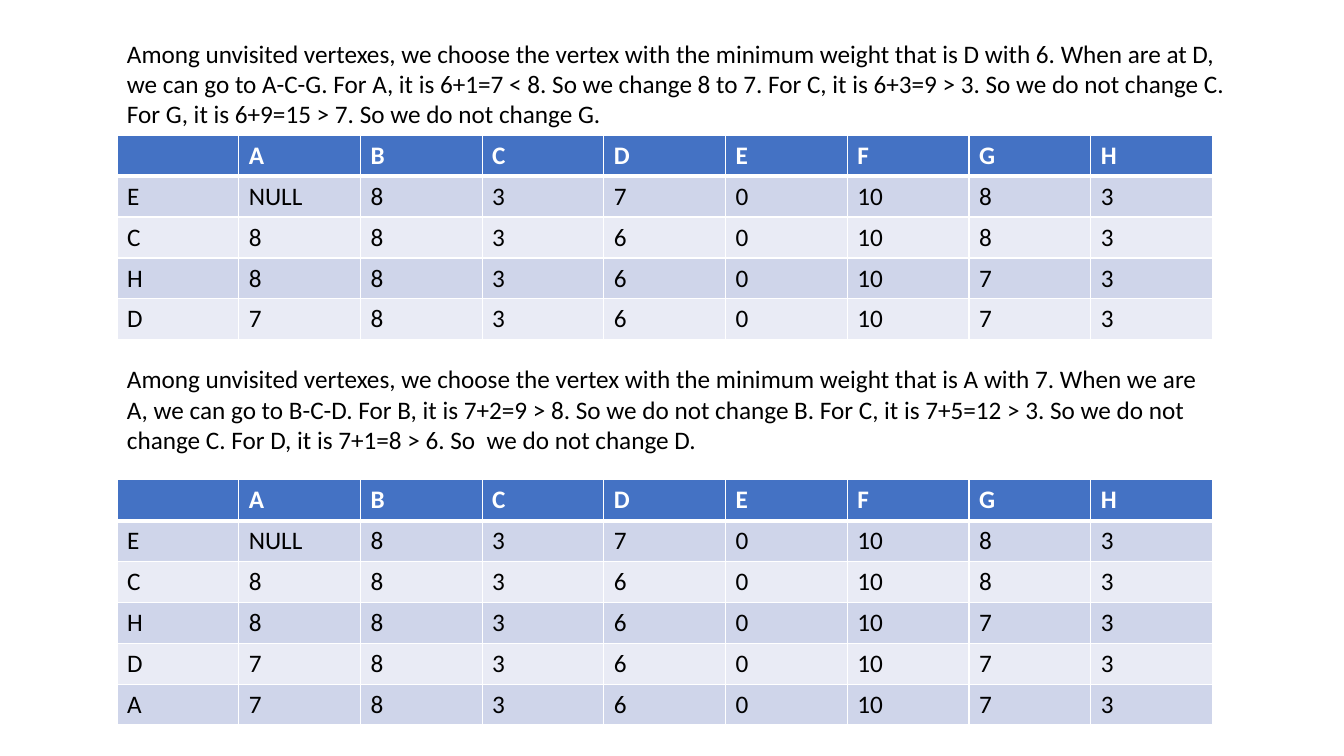
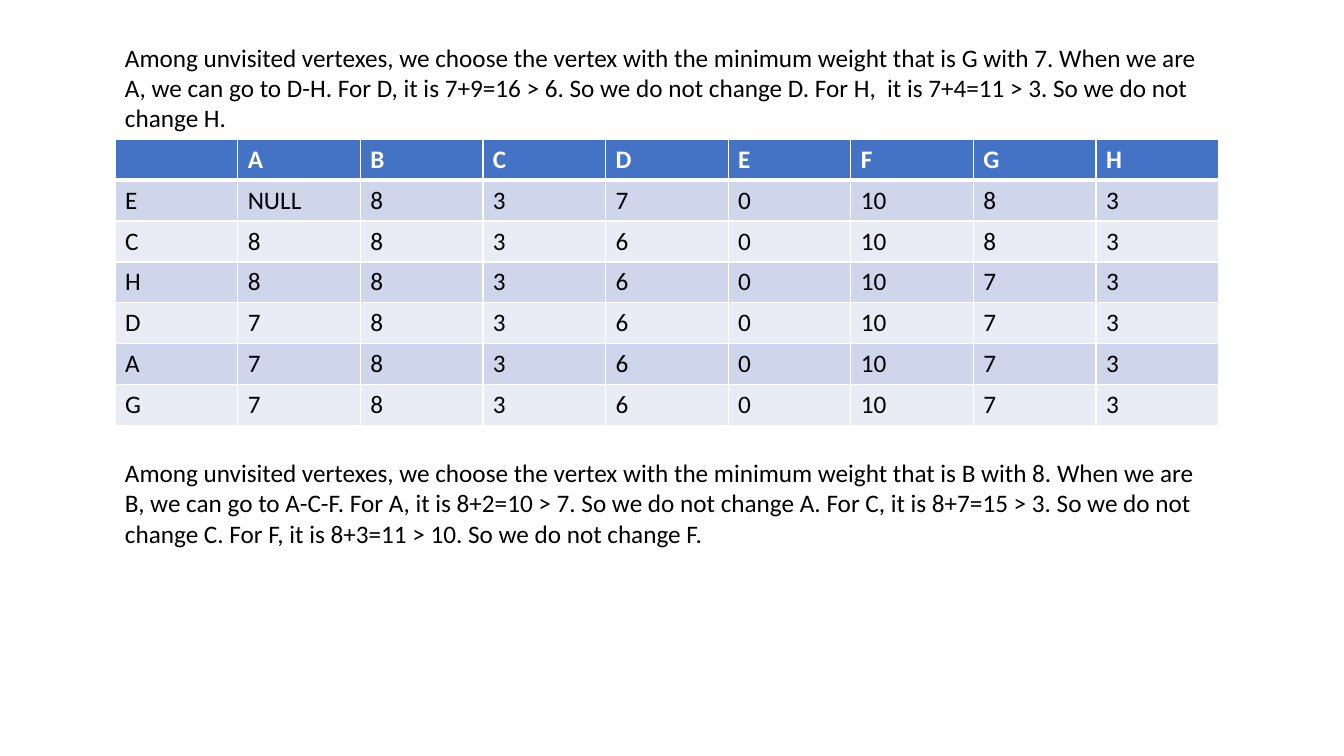
from dataclasses import dataclass

from lxml import etree
from pptx import Presentation
from pptx.dml.color import RGBColor
from pptx.enum import text as txt
from pptx.oxml import ns
from pptx.util import Cm, Pt

WHITE = RGBColor(0xFF, 0xFF, 0xFF)
BLACK = RGBColor(0x00, 0x00, 0x00)
BLUE = RGBColor(0x44, 0x72, 0xC4)
BANDS = (RGBColor(0xCF, 0xD5, 0xEA), RGBColor(0xE9, 0xEB, 0xF5))
FONT = "Calibri"
SIZE = Pt(18)
ROW = 1.03
TALL = 2.57
HEAD = ("", *"ABCDEFGH")
STEPS = (
    ("E", "NULL", "8", "3", "7", "0", "10", "8", "3"),
    ("C", "8", "8", "3", "6", "0", "10", "8", "3"),
    ("H", "8", "8", "3", "6", "0", "10", "7", "3"),
    ("D", "7", "8", "3", "6", "0", "10", "7", "3"),
    ("A", "7", "8", "3", "6", "0", "10", "7", "3"),
    ("G", "7", "8", "3", "6", "0", "10", "7", "3"),
)
LEAD = "Among unvisited vertexes, we choose the vertex with the minimum weight that is "


@dataclass(frozen=True)
class Note:
    top: float
    words: str
    extra: float = 0


@dataclass(frozen=True)
class Grid:
    top: float
    steps: int


@dataclass(frozen=True)
class Page:
    left: float
    width: float
    items: tuple[Note | Grid, ...]


PAGES = (
    Page(2.95, 27.61, (
        Note(0.84, "D with 6. When are at D, we can go to A-C-G. For A, it is 6+1=7 < 8. "
             "So we change 8 to 7. For C, it is 6+3=9 > 3. So we do not change C. "
             "For G, it is 6+9=15 > 7. So we do not change G.", 1.04),
        Grid(3.41, 4),
        Note(9.04, "A with 7. When we are A, we can go to B-C-D. For B, it is 7+2=9 > 8. "
             "So we do not change B. For C, it is 7+5=12 > 3. So we do not change C. "
             "For D, it is 7+1=8 > 6. So  we do not change D."),
        Grid(12.09, 5),
    )),
    Page(2.9, 27.81, (
        Note(0.94, "G with 7. When we are A, we can go to D-H. For D, it is 7+9=16 > 6. "
             "So we do not change D. For H,  it is 7+4=11 > 3. So we do not change H."),
        Grid(3.51, 6),
        Note(11.4, "B with 8. When we are B, we can go to A-C-F. For A, it is 8+2=10 > 7. "
             "So we do not change A. For C, it is 8+7=15 > 3. So we do not change C. "
             "For F, it is 8+3=11 > 10. So we do not change F."),
    )),
)


def write(frame, words: str, color: RGBColor = BLACK, bold: bool = False) -> None:
    run = frame.paragraphs[0].add_run()
    run.text = words
    font = run.font
    font.name, font.size, font.bold = FONT, SIZE, bold
    font.color.rgb = color


def border(cell, row: int) -> None:
    props = cell._tc.get_or_add_tcPr()
    thick = {0: "lnB", 1: "lnT"}.get(row)
    for side in ("lnL", "lnR", "lnT", "lnB"):
        width = Pt(3 if side == thick else 1)
        line = etree.SubElement(props, ns.qn(f"a:{side}"), w=str(width))
        fill = etree.SubElement(line, ns.qn("a:solidFill"))
        etree.SubElement(fill, ns.qn("a:srgbClr"), val=str(WHITE))


def draw_note(slide, page: Page, note: Note) -> None:
    box = slide.shapes.add_textbox(
        Cm(page.left), Cm(note.top), Cm(page.width + note.extra), Cm(TALL))
    frame = box.text_frame
    frame.word_wrap = True
    frame.auto_size = txt.MSO_AUTO_SIZE.SHAPE_TO_FIT_TEXT
    write(frame, LEAD + note.words)


def draw_grid(slide, page: Page, grid: Grid) -> None:
    rows = (HEAD, *STEPS[:grid.steps])
    table = slide.shapes.add_table(
        len(rows), len(HEAD), Cm(page.left), Cm(grid.top),
        Cm(page.width), Cm(ROW * len(rows))).table
    table.horz_banding = False
    for y, row in enumerate(rows):
        for x, words in enumerate(row):
            cell = table.cell(y, x)
            border(cell, y)
            cell.fill.solid()
            cell.fill.fore_color.rgb = BANDS[(y - 1) % 2] if y else BLUE
            if words:
                write(cell.text_frame, words, BLACK if y else WHITE, y == 0)


def main() -> None:
    deck = Presentation()
    deck.slide_width, deck.slide_height = Cm(33.87), Cm(19.05)
    for page in PAGES:
        slide = deck.slides.add_slide(deck.slide_layouts[6])
        for item in page.items:
            if isinstance(item, Note):
                draw_note(slide, page, item)
            else:
                draw_grid(slide, page, item)
    deck.save("out.pptx")


if __name__ == "__main__":
    main()
